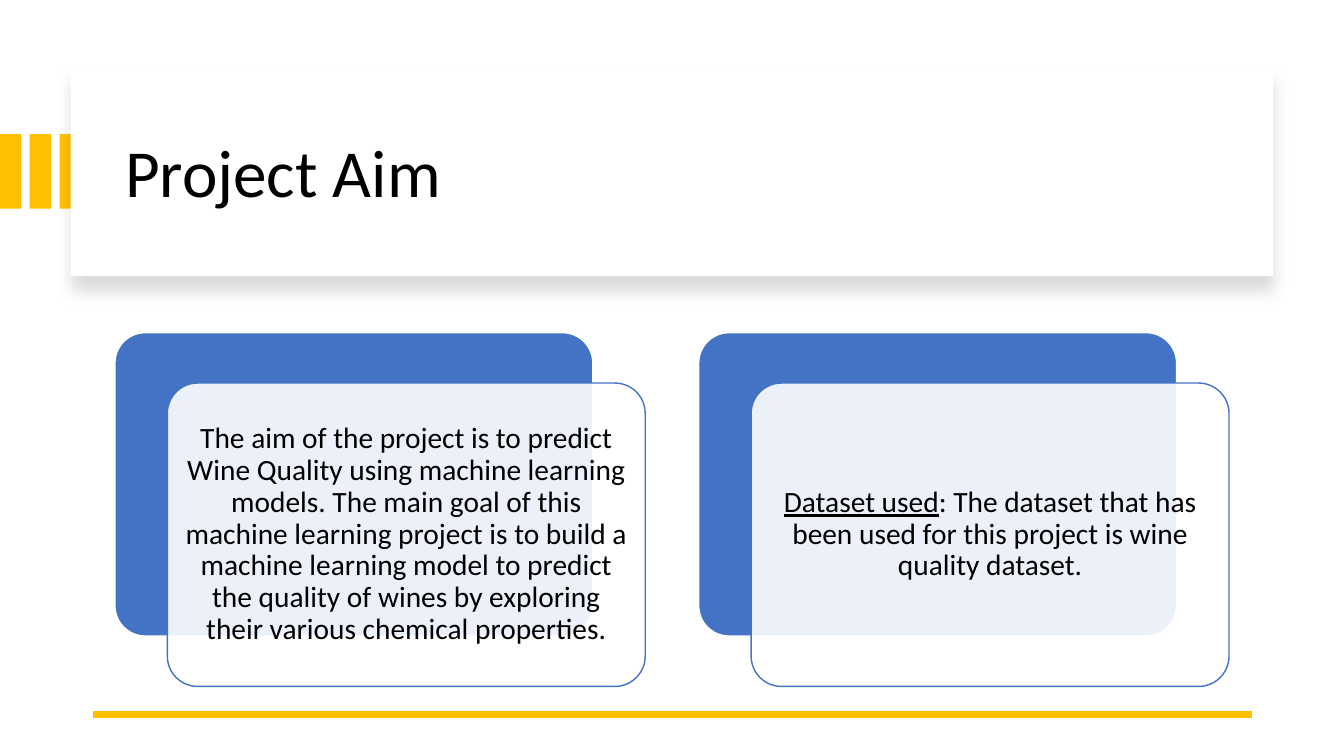
from lxml.etree import SubElement as Sub
from pptx import Presentation
from pptx.dml.color import RGBColor
from pptx.enum.shapes import MSO_CONNECTOR as Link, MSO_SHAPE as Kind
from pptx.enum.text import MSO_ANCHOR as Anchor, PP_ALIGN as Align
from pptx.oxml.ns import qn
from pptx.util import Inches, Pt

GOLD = RGBColor(0xFF, 0xC0, 0x00)
BLUE = RGBColor(0x44, 0x72, 0xC4)
WHITE = RGBColor(0xFF, 0xFF, 0xFF)
BLACK = RGBColor(0x00, 0x00, 0x00)
FONT = "Calibri"

AIM = [("The aim of the project is to predict Wine Quality using machine "
        "learning models. The main goal of this machine learning project is "
        "to build a machine learning model to predict the quality of wines "
        "by exploring their various chemical properties.", False)]
DATA = [("Dataset used", True),
        (": The dataset that has been used for this project is wine quality "
         "dataset.", False)]


def add_box(slide, kind, box, fill, line=None):
    shape = slide.shapes.add_shape(kind, *map(Inches, box))
    shape.shadow.inherit = False
    shape.fill.solid()
    shape.fill.fore_color.rgb = fill
    if line is None:
        shape.line.fill.background()
    else:
        shape.line.color.rgb = line
        shape.line.width = Pt(1)
    return shape


def add_run(para, text, size, under=False):
    run = para.add_run()
    run.text = text
    font = run.font
    font.name, font.size, font.underline = FONT, Pt(size), under
    font.color.rgb = BLACK


def set_alpha(color, percent):
    Sub(color, qn("a:alpha"), val=str(percent * 1000))


def add_bars(slide, left, top, width, height):
    """Three gold bars, spread evenly over the width."""
    bar = 0.21
    step = (width - bar) / 2
    for i in range(3):
        add_box(slide, Kind.RECTANGLE, (left + i * step, top, bar, height), GOLD)


def add_head(slide, left, top, width, height):
    """White panel with a soft shadow, and the title on it."""
    panel = add_box(slide, Kind.RECTANGLE, (left, top, width, height), WHITE)
    effects = panel.element.spPr.find(qn("a:effectLst"))
    shade = Sub(effects, qn("a:outerShdw"), blurRad=str(Pt(11)),
                dist=str(Pt(10)), dir=str(90 * 60000), algn="t",
                rotWithShape="0")
    set_alpha(Sub(shade, qn("a:srgbClr"), val=str(BLACK)), 15)

    title = slide.shapes.title
    title.left, title.top = Inches(left + 0.44), Inches(top + 0.22)
    title.width, title.height = Inches(width - 0.8), Inches(height - 0.37)
    panel.element.addnext(title.element)  # bring the title to the front
    frame = title.text_frame
    frame.word_wrap = True
    frame.vertical_anchor = Anchor.MIDDLE
    para = frame.paragraphs[0]
    para.alignment = Align.LEFT
    para.line_spacing = 0.9
    add_run(para, "Project Aim", 48)


def add_rule(slide, left, top, width):
    rule = slide.shapes.add_connector(
        Link.STRAIGHT, Inches(left + width), Inches(top),
        Inches(left), Inches(top))
    rule.line.color.rgb = GOLD
    rule.line.width = Pt(4.5)
    Sub(rule.element.spPr, qn("a:effectLst"))


def add_card(slide, left, top, width, height, runs):
    """Blue card with a translucent text card shifted over it."""
    back = add_box(slide, Kind.ROUNDED_RECTANGLE,
                   (left, top, width, height), BLUE, WHITE)
    front = add_box(slide, Kind.ROUNDED_RECTANGLE,
                    (left + 0.52, top + 0.5, width, height), WHITE, BLUE)
    for card in (back, front):
        card.adjustments[0] = 0.1
    set_alpha(front.element.spPr.find(qn("a:solidFill"))[0], 90)

    frame = front.text_frame
    frame.word_wrap = True
    frame.vertical_anchor = Anchor.MIDDLE
    frame.margin_left = frame.margin_right = Inches(0.09)
    frame.margin_top = frame.margin_bottom = Inches(0.09)
    para = frame.paragraphs[0]
    para.alignment = Align.CENTER
    para.line_spacing = 0.9
    for text, under in runs:
        add_run(para, text, 21, under)


def main():
    prs = Presentation()
    prs.slide_width, prs.slide_height = Inches(13.33), Inches(7.5)
    slide = prs.slides.add_slide(prs.slide_layouts[5])

    # Header
    add_bars(slide, 0, 1.33, 0.8, 0.74)
    add_head(slide, 0.7, 0.67, 11.93, 2.07)

    # Bottom rule
    add_rule(slide, 0.92, 7.09, 11.5)

    # Cards
    for i, runs in enumerate((AIM, DATA)):
        add_card(slide, 1.14 + i * 5.79, 3.3, 4.74, 3.01, runs)

    prs.save("out.pptx")


if __name__ == "__main__":
    main()
